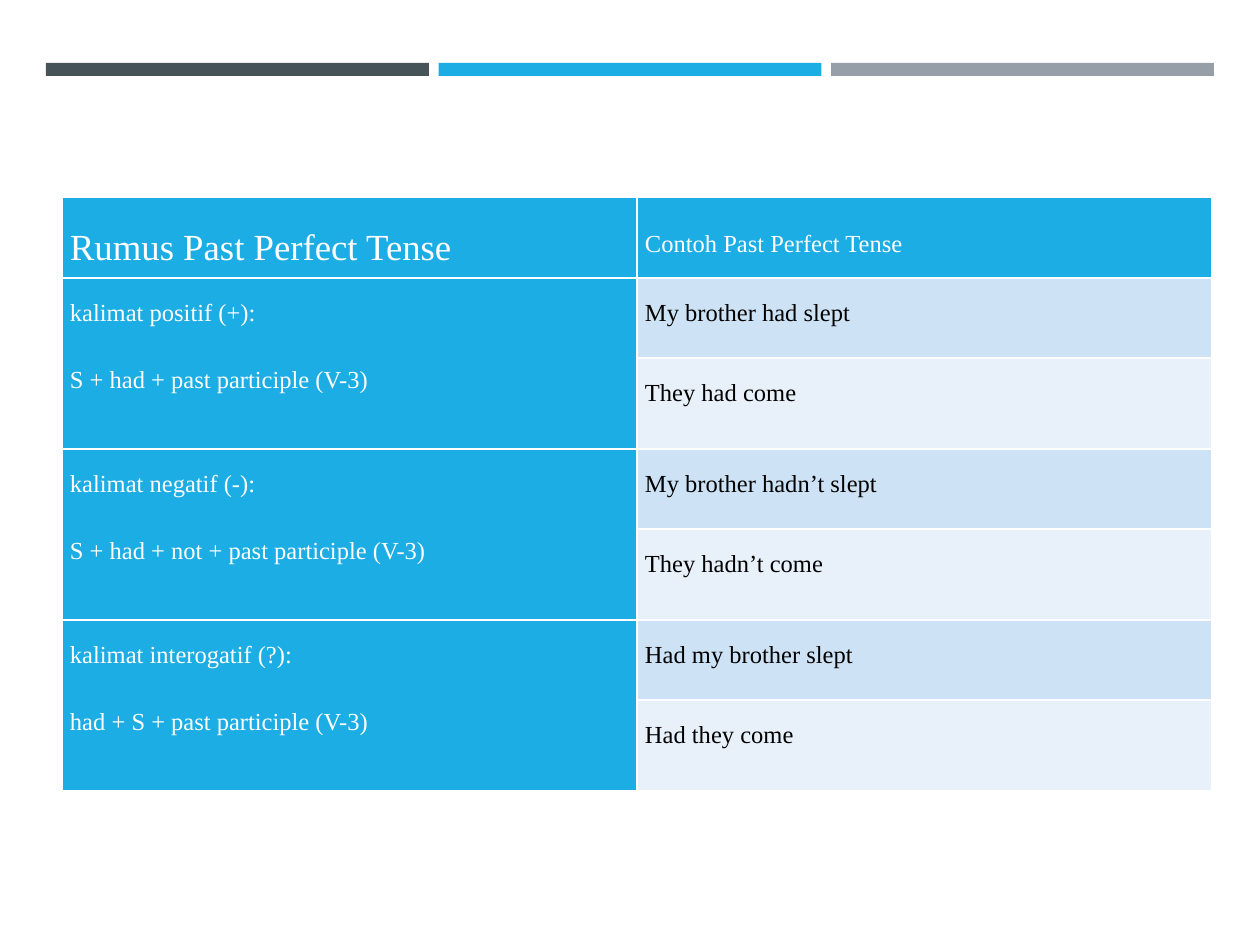
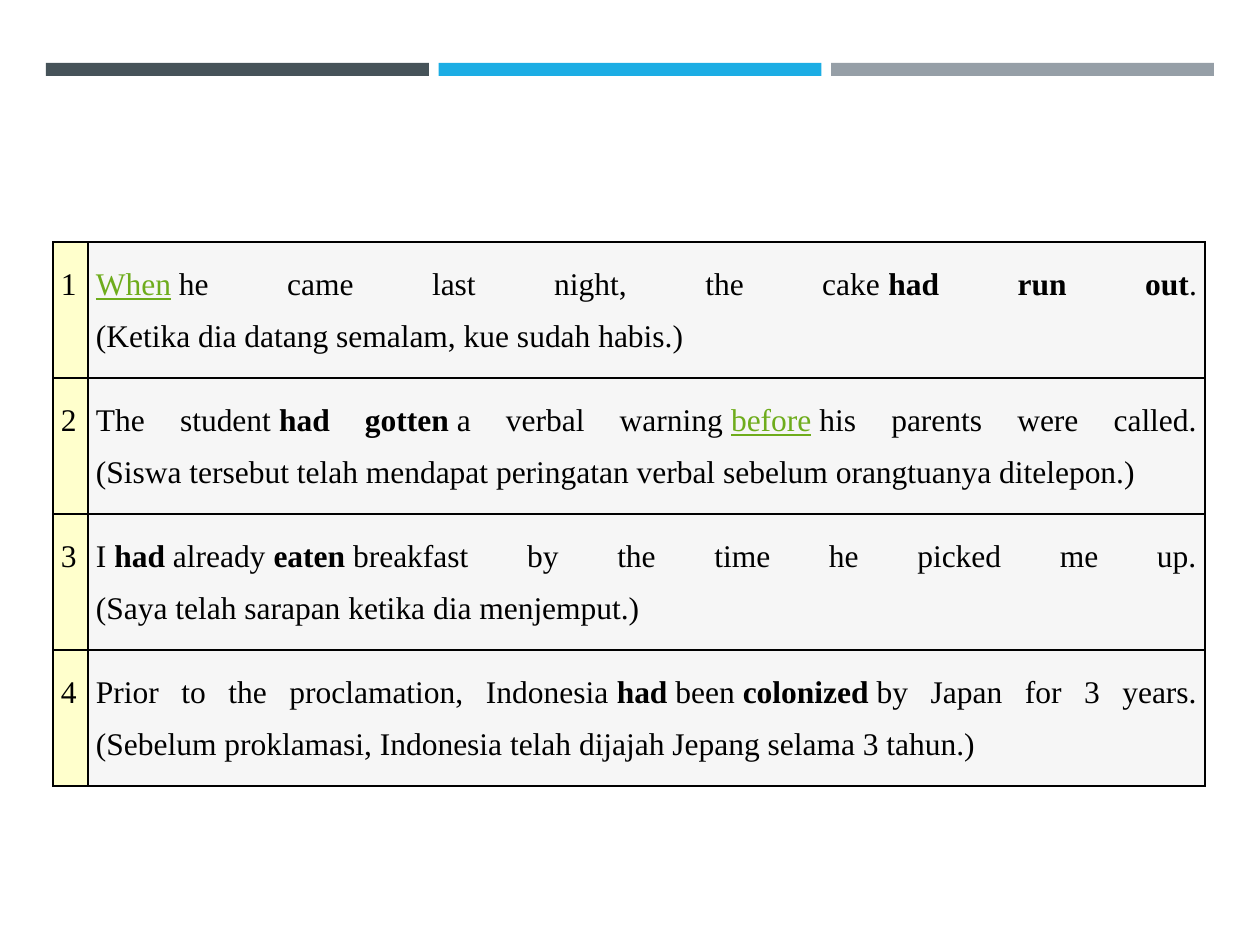
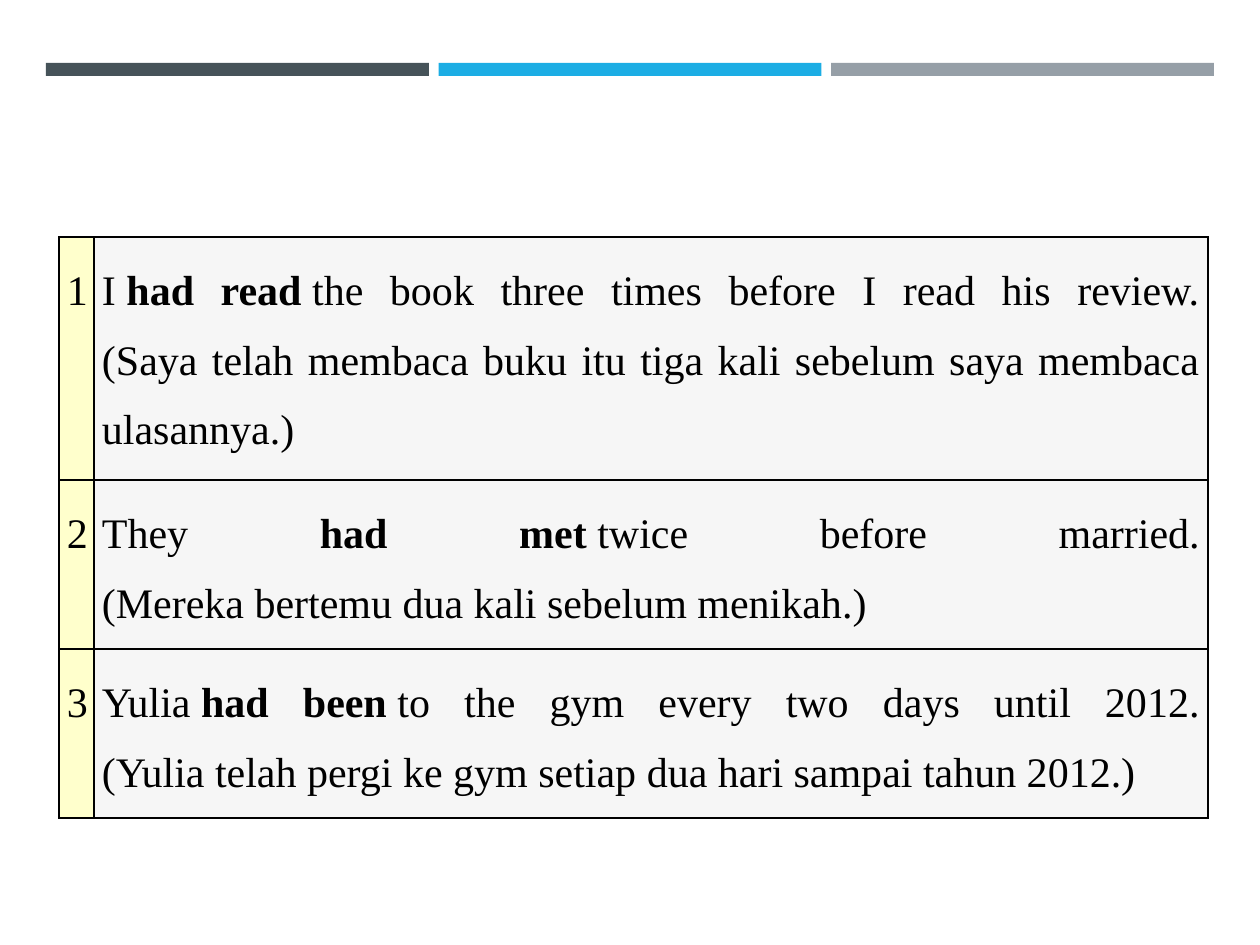
from lxml.etree import SubElement
from pptx import Presentation
from pptx.dml.color import RGBColor
from pptx.enum.shapes import MSO_SHAPE as SHAPE
from pptx.enum.text import MSO_ANCHOR as ANCHOR, PP_ALIGN as ALIGN
from pptx.oxml.ns import qn
from pptx.util import Emu, Pt

PX = 914400 / 126
FONT = "Times New Roman"
INSET = 8
NUMBER_W = 35
COLORS = {
    "slate": "465359", "blue": "1CADE4", "gray": "969FA7",
    "white": "FFFFFF", "black": "000000", "link": "6EAC1C",
    "band_dark": "CDE3F5", "band_light": "E8F1FA",
    "number": "FFFFCC", "sentence": "F6F6F6",
}

FORMULA_HEADS = [("Rumus Past Perfect Tense", 21), ("Contoh Past Perfect Tense", 14)]
FORMULAS = [
    (["kalimat positif (+):", "S + had + past participle (V-3)"],
     ["My brother had slept", "They had come"]),
    (["kalimat negatif (-):", "S + had + not + past participle (V-3)"],
     ["My brother hadn’t slept", "They hadn’t come"]),
    (["kalimat interogatif (?):", "had + S + past participle (V-3)"],
     ["Had my brother~slept", "Had they come"]),
]

# Each sentence is a list of (text, style) runs and a translation; "~" is a no-break space.
WHEN_EXAMPLES = [
    ([("When", "link"), ("~he came last night, the cake~", ""), ("had run out", "bold"),
      (".", "")],
     "(Ketika dia datang semalam, kue sudah habis.)"),
    ([("The student~", ""), ("had gotten", "bold"), ("~a verbal warning~", ""),
      ("before", "link"), ("~his parents were called.", "")],
     "(Siswa tersebut telah mendapat peringatan verbal sebelum orangtuanya ditelepon.)"),
    ([("I~", ""), ("had", "bold"), ("~already~", ""), ("eaten", "bold"),
      ("~breakfast by the time he picked me up.", "")],
     "(Saya telah sarapan~ketika dia menjemput.)"),
    ([("Prior to the proclamation, Indonesia~", ""), ("had", "bold"), ("~been~", ""),
      ("colonized", "bold"), ("~by Japan for 3 years.", "")],
     "(Sebelum proklamasi, Indonesia telah dijajah Jepang selama 3 tahun.)"),
]
REPEATED_EXAMPLES = [
    ([("I~", ""), ("had read", "bold"),
      ("~the book three times before I read his review.", "")],
     "(Saya telah membaca buku itu tiga kali sebelum saya membaca ulasannya.)"),
    ([("They ", ""), ("had met", "bold"), ("~twice before married.", "")],
     "(Mereka bertemu dua kali sebelum menikah.)"),
    ([("Yulia~", ""), ("had been", "bold"),
      ("~to the gym every two days until 2012.", "")],
     "(Yulia telah pergi ke gym setiap dua hari sampai tahun 2012.)"),
]


def px(n):
    return Emu(round(n * PX))


def rgb(name):
    return RGBColor.from_string(COLORS[name])


def add_banded_slide(prs):
    """Add a blank slide with the three bands along its top."""
    slide = prs.slides.add_slide(prs.slide_layouts[6])
    for i, color in enumerate(("slate", "blue", "gray")):
        band = slide.shapes.add_shape(
            SHAPE.RECTANGLE, px(46 + i * 392.5), px(63), px(383), px(13))
        band.shadow.inherit = False
        band.fill.solid()
        band.fill.fore_color.rgb = rgb(color)
        band.line.fill.background()
    return slide


def add_plain_table(slide, left, top, col_widths, row_heights):
    frame = slide.shapes.add_table(
        len(row_heights), len(col_widths), px(left), px(top),
        px(sum(col_widths)), px(sum(row_heights)))
    table = frame.table
    table.first_row = table.horz_banding = False
    for column, width in zip(table.columns, col_widths):
        column.width = px(width)
    for row, height in zip(table.rows, row_heights):
        row.height = px(height)
    return table


def style_cell(cell, fill, border):
    tcPr = cell._tc.get_or_add_tcPr()
    for side in ("lnL", "lnR", "lnT", "lnB"):
        ln = SubElement(tcPr, qn(f"a:{side}"), w=str(Pt(1)))
        solid = SubElement(ln, qn("a:solidFill"))
        SubElement(solid, qn("a:srgbClr"), val=COLORS[border])
    cell.fill.solid()
    cell.fill.fore_color.rgb = rgb(fill)
    cell.margin_left = cell.margin_right = px(INSET)
    cell.margin_top = cell.margin_bottom = px(INSET)


def format_paragraph(p, before=0, after=8):
    p.alignment = ALIGN.JUSTIFY
    p.line_spacing = 1.5
    p.space_before, p.space_after = Pt(before), Pt(after)


def add_run(p, text, size, color="black", style=""):
    r = p.add_run()
    r.text = text.replace("~", chr(160))
    font = r.font
    font.name, font.size = FONT, Pt(size)
    font.bold = style == "bold"
    font.underline = style == "link"
    font.color.rgb = rgb("link" if style == "link" else color)


def write_line(cell, text, size, color="black"):
    p = cell.text_frame.paragraphs[0]
    format_paragraph(p)
    add_run(p, text, size, color)


def write_formula(cell, label, formula):
    tf = cell.text_frame
    p = tf.paragraphs[0]
    format_paragraph(p, before=2, after=15)
    add_run(p, label, 14, "white")
    p = tf.add_paragraph()
    format_paragraph(p, after=18)
    add_run(p, formula, 14, "white")


def write_sentence(cell, runs, translation, size):
    p = cell.text_frame.paragraphs[0]
    format_paragraph(p)
    for text, style in runs:
        add_run(p, text, size, style=style)
    p.add_line_break()
    add_run(p, translation, size)


def add_formula_slide(prs):
    slide = add_banded_slide(prs)
    table = add_plain_table(slide, 62, 197, [575, 575], [81] + [80, 91] * len(FORMULAS))
    for col, (head, size) in enumerate(FORMULA_HEADS):
        cell = table.cell(0, col)
        style_cell(cell, "blue", "white")
        cell.vertical_anchor = ANCHOR.MIDDLE
        write_line(cell, head, size, "white")
    for i, (formula, examples) in enumerate(FORMULAS):
        first = 1 + 2 * i
        for j, (example, band) in enumerate(zip(examples, ("band_dark", "band_light"))):
            style_cell(table.cell(first + j, 0), "blue", "white")
            cell = table.cell(first + j, 1)
            style_cell(cell, band, "white")
            write_line(cell, example, 14)
        table.cell(first, 0).merge(table.cell(first + 1, 0))
        write_formula(table.cell(first, 0), *formula)


def add_example_slide(prs, examples, left, top, sentence_w, row_heights, size):
    slide = add_banded_slide(prs)
    table = add_plain_table(slide, left, top, [NUMBER_W, sentence_w], row_heights)
    for i, (runs, translation) in enumerate(examples):
        number, sentence = table.cell(i, 0), table.cell(i, 1)
        style_cell(number, "number", "black")
        write_line(number, str(i + 1), size)
        style_cell(sentence, "sentence", "black")
        write_sentence(sentence, runs, translation, size)


def main():
    prs = Presentation()
    prs.slide_width, prs.slide_height = px(1260), px(945)
    add_formula_slide(prs)
    add_example_slide(prs, WHEN_EXAMPLES, 53, 242, 1117, [136] * 4, 18)
    add_example_slide(prs, REPEATED_EXAMPLES, 59, 237, 1114, [243, 169, 169], 24)
    prs.save("out.pptx")


if __name__ == "__main__":
    main()
